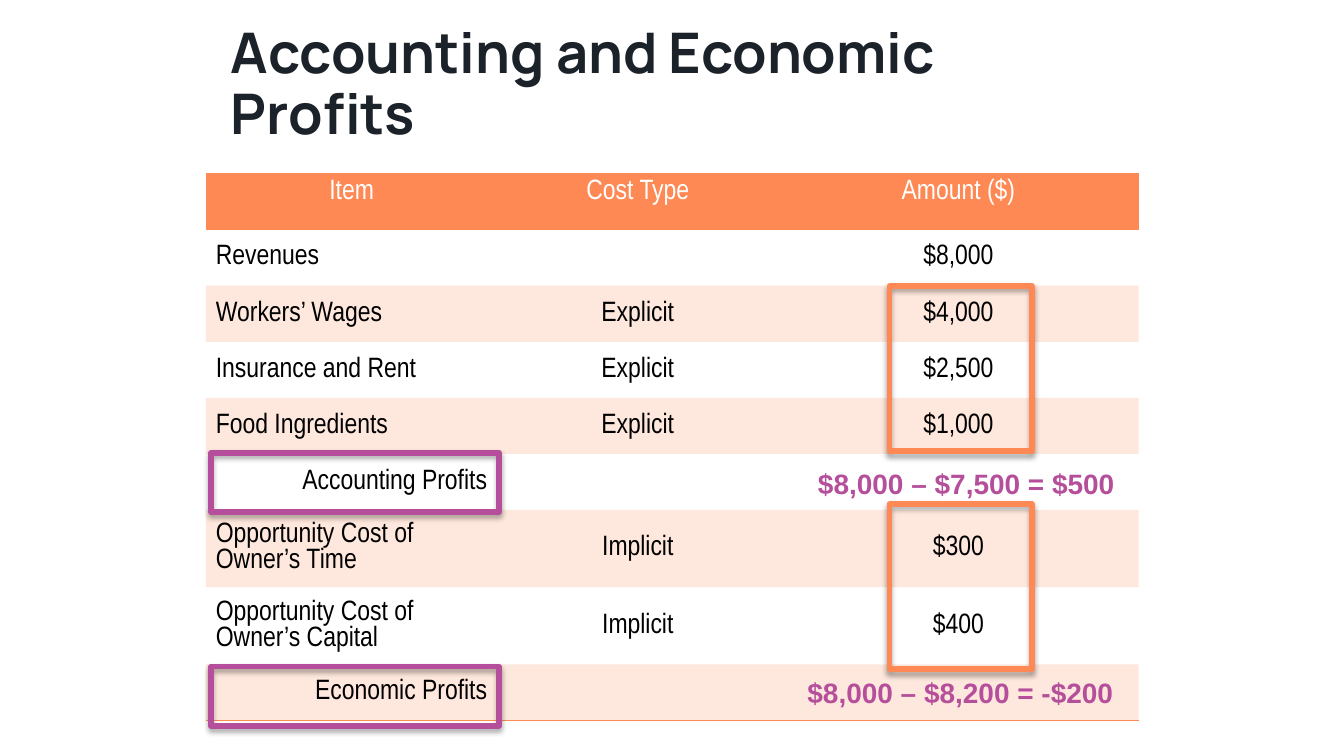
from lxml import etree
from pptx import Presentation
from pptx.dml.color import RGBColor
from pptx.enum.shapes import MSO_SHAPE
from pptx.enum.text import MSO_ANCHOR, PP_ALIGN
from pptx.oxml.ns import qn
from pptx.util import Cm, Pt

COLORS = {"ink": "1C2229", "orange": "FE8954", "purple": "B54F9B",
          "black": "000000", "white": "FFFFFF"}
PLAIN_TABLE_STYLE = "{2D5ABB26-0587-4C30-8999-92F81FD0307C}"

ROWS = [
    ("Item", "Cost Type", "Amount ($)"),
    ("Revenues", "", "$8,000"),
    ("Workers’ Wages", "Explicit", "$4,000"),
    ("Insurance and Rent", "Explicit", "$2,500"),
    ("Food Ingredients", "Explicit", "$1,000"),
    ("Accounting Profits", "", ""),
    ("Opportunity Cost of Owner’s Time", "Implicit", "$300"),
    ("Opportunity Cost of Owner’s Capital", "Implicit", "$400"),
    ("Economic Profits", "", ""),
]
COLUMN_WIDTHS = (5.51, 5.31, 6.81)
ROW_HEIGHT, TALL_ROW_HEIGHT = 1.06, 1.46


def rgb(name):
    return RGBColor.from_string(COLORS[name])


def add_color(parent, name, alpha=100):
    color = etree.SubElement(parent, qn("a:srgbClr"), val=COLORS[name])
    if alpha < 100:
        etree.SubElement(color, qn("a:alpha"), val=str(alpha * 1000))
    return color


class SlideBuilder:
    def __init__(self, page):
        self.page = page

    def add_span(self, para, text, font, size, color, bold=False):
        span = para.add_run()
        span.text = text
        span.font.name = font
        span.font.size = Pt(size)
        span.font.bold = bold
        span.font.color.rgb = rgb(color)

    def title(self, text, left, top, width, height):
        box = self.page.shapes.title
        box.left, box.top, box.width, box.height = map(Cm, (left, top, width, height))
        box.text_frame.word_wrap = True
        box.text_frame.vertical_anchor = MSO_ANCHOR.MIDDLE
        para = box.text_frame.paragraphs[0]
        para.alignment = PP_ALIGN.LEFT
        para.line_spacing = 0.9
        self.add_span(para, text, "Manrope", 30, "ink", bold=True)

    def cost_table(self, left, top):
        heights = [TALL_ROW_HEIGHT if row[0].startswith("Opportunity") else ROW_HEIGHT
                   for row in ROWS]
        frame = self.page.shapes.add_table(
            len(ROWS), len(COLUMN_WIDTHS), Cm(left), Cm(top),
            Cm(sum(COLUMN_WIDTHS)), Cm(sum(heights)))
        table = frame.table
        table.horz_banding = False
        table._tbl.tblPr.find(qn("a:tableStyleId")).text = PLAIN_TABLE_STYLE
        for column, width in zip(table.columns, COLUMN_WIDTHS):
            column.width = Cm(width)
        for i, (row, height) in enumerate(zip(table.rows, heights)):
            row.height = Cm(height)
            for j, cell in enumerate(row.cells):
                self.cost_cell(cell, i, j)

    def cost_cell(self, cell, i, j):
        header, last = i == 0, i == len(ROWS) - 1
        cell.margin_left = cell.margin_right = Cm(0.19)
        cell.margin_top = cell.margin_bottom = Cm(0.1)
        cell.vertical_anchor = MSO_ANCHOR.TOP if header else MSO_ANCHOR.MIDDLE
        if i % 2 == 0:
            cell.fill.solid()
            cell.fill.fore_color.rgb = rgb("orange")
            if not header:
                color = cell._tc.tcPr.find(qn("a:solidFill"))[0]
                etree.SubElement(color, qn("a:alpha"), val="20000")
        else:
            cell.fill.background()
        if header or last:
            self.cell_border(cell, "a:lnT" if header else "a:lnB")
        para = cell.text_frame.paragraphs[0]
        if header or j > 0:
            para.alignment = PP_ALIGN.CENTER
        elif ROWS[i][0].endswith("Profits"):
            para.alignment = PP_ALIGN.RIGHT
        else:
            para.alignment = PP_ALIGN.LEFT
        if ROWS[i][j]:
            self.add_span(para, ROWS[i][j], "Arial Narrow", 15,
                          "white" if header else "black")
        else:
            para.font.size = Pt(15)

    def cell_border(self, cell, side):
        border = etree.Element(qn(side), w=str(Pt(1)))
        add_color(etree.SubElement(border, qn("a:solidFill")), "orange")
        cell._tc.tcPr.insert(0, border)

    def highlight(self, color, left, top, width, height):
        """Draw an unfilled frame with a soft shadow below it."""
        shape = self.page.shapes.add_shape(
            MSO_SHAPE.RECTANGLE, Cm(left), Cm(top), Cm(width), Cm(height))
        shape.fill.background()
        shape.line.color.rgb = rgb(color)
        shape.line.width = Pt(3)
        shape.shadow.inherit = False
        effects = shape._element.spPr.find(qn("a:effectLst"))
        shadow = etree.SubElement(
            effects, qn("a:outerShdw"), blurRad=str(Pt(3.1)), dist=str(Pt(1.8)),
            dir="5400000", rotWithShape="0")
        add_color(shadow, "black", alpha=35)

    def calculation(self, text, left, top, width):
        box = self.page.shapes.add_textbox(Cm(left), Cm(top), Cm(width), Cm(0.89))
        box.text_frame.word_wrap = False
        self.add_span(box.text_frame.paragraphs[0], text, "Arial", 15, "purple", bold=True)


def main():
    deck = Presentation()
    deck.slide_width, deck.slide_height = Cm(25.4), Cm(14.29)
    slide = SlideBuilder(deck.slides.add_slide(deck.slide_layouts[5]))
    slide.title("Accounting and Economic Profits", 4.11, 0.61, 17.5, 2.03)
    slide.cost_table(3.89, 3.28)
    for top in (8.56, 12.6):
        slide.highlight("purple", 3.99, top, 5.44, 1.12)
    for top in (5.41, 9.53):
        slide.highlight("orange", 16.81, top, 2.69, 3.12)
    slide.calculation("$8,000 – $7,500 = $500", 15.21, 8.69, 6.17)
    slide.calculation("$8,000 – $8,200 = -$200", 15.01, 12.65, 6.35)
    deck.save("out.pptx")


if __name__ == "__main__":
    main()
